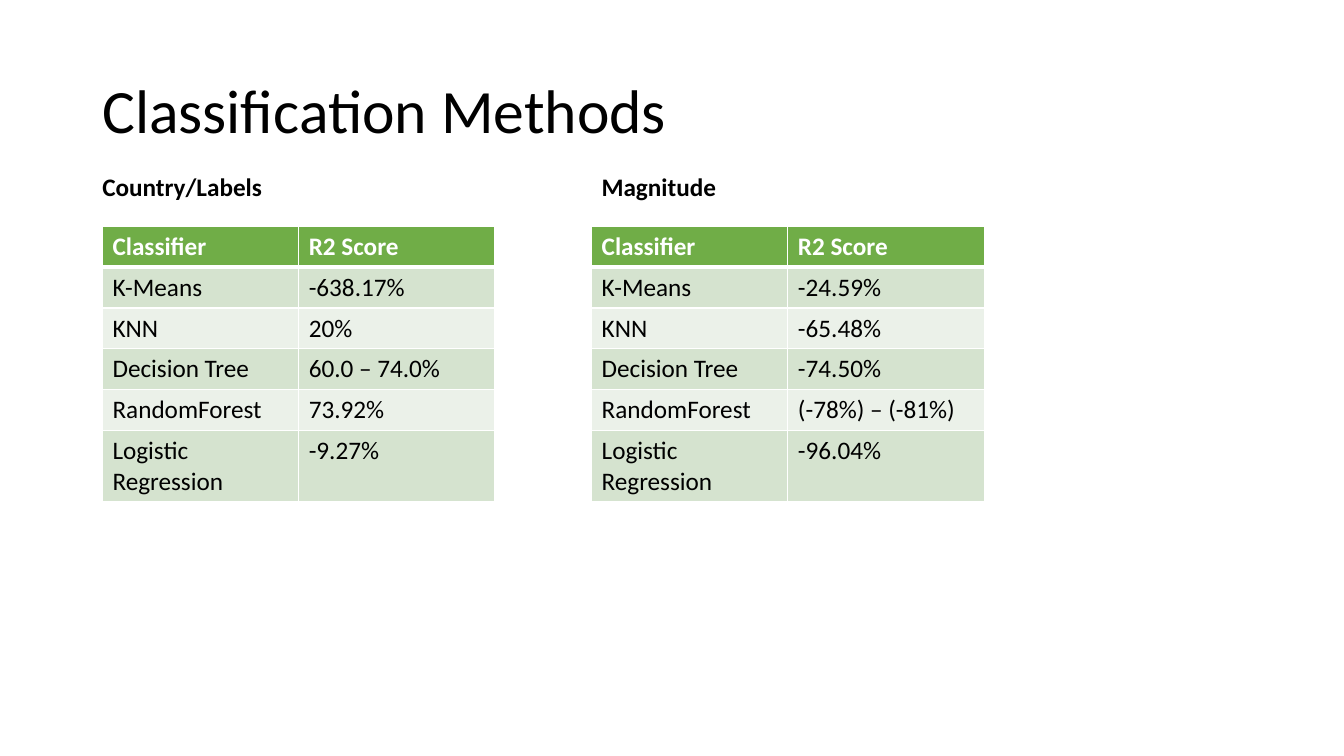
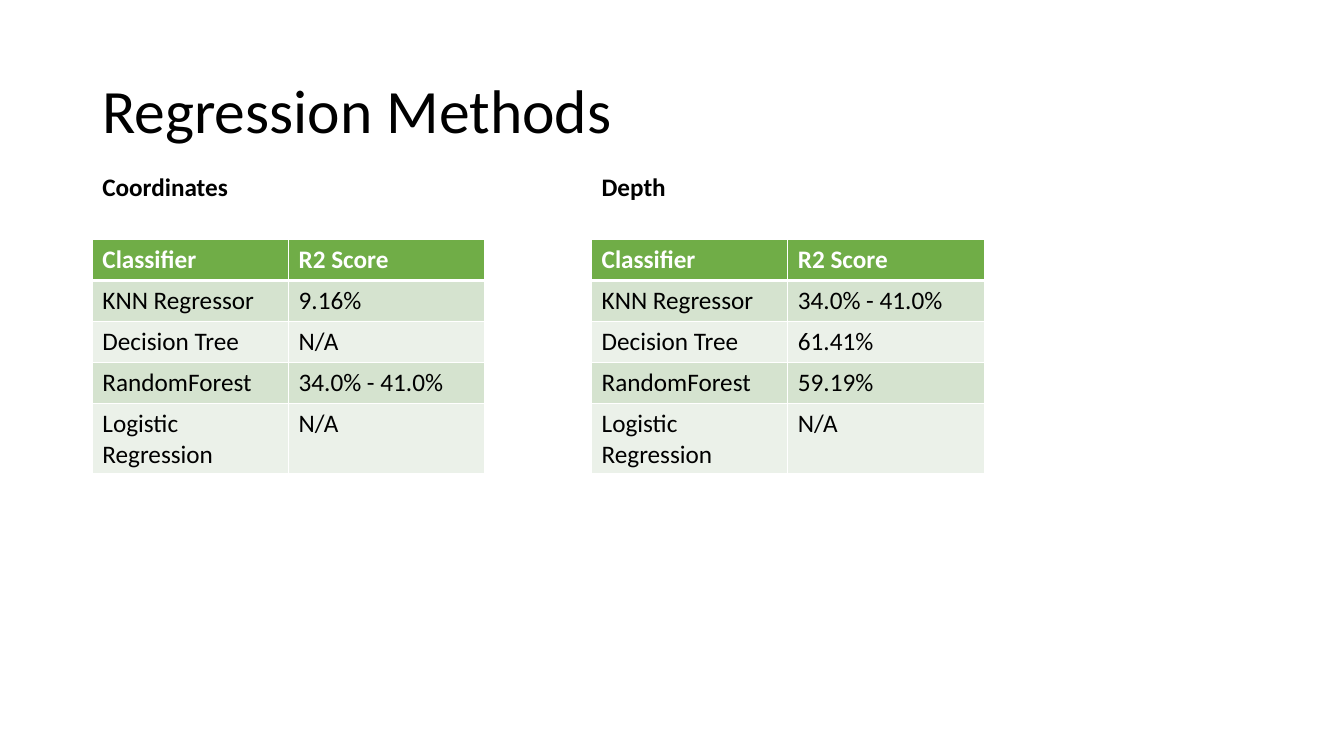
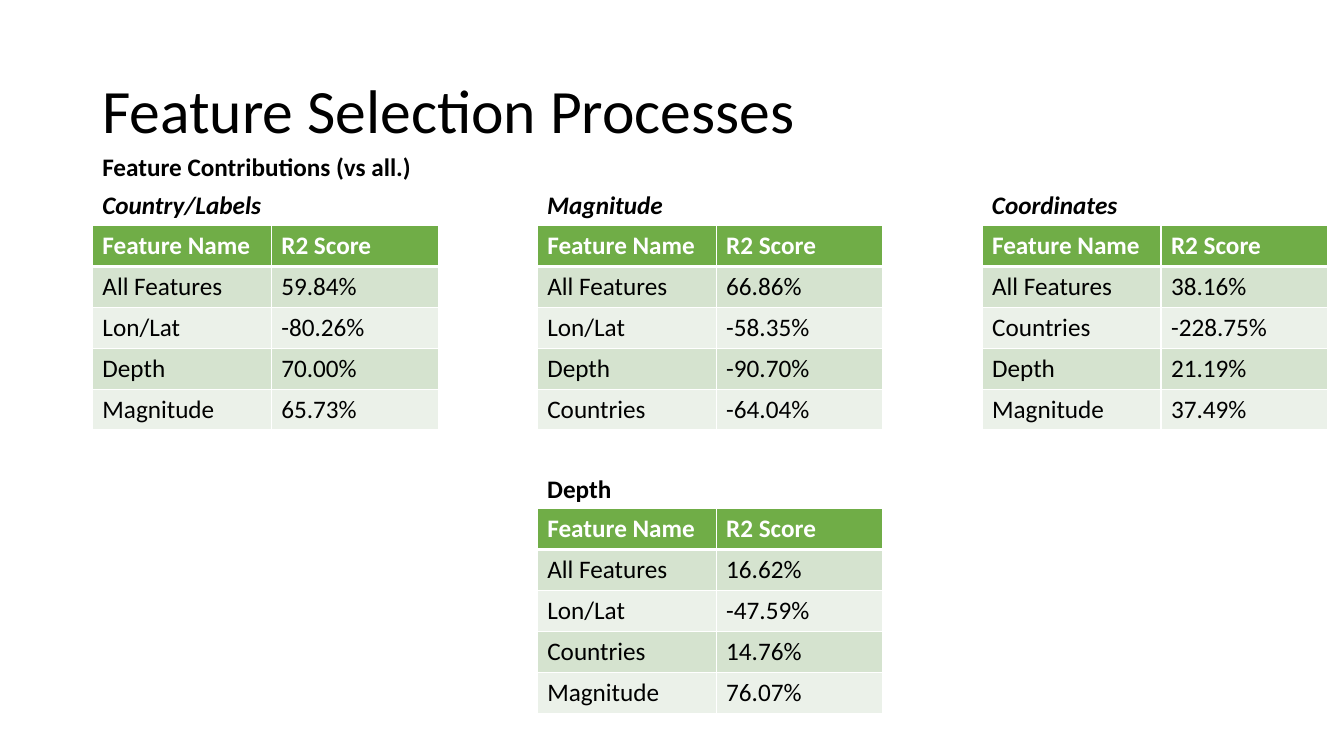
import dataclasses

import pptx
import pptx.dml.color
import pptx.enum.text
import pptx.oxml
import pptx.oxml.ns
import pptx.util

Pt = pptx.util.Pt


@dataclasses.dataclass(frozen=True)
class Theme:
    font: str = "Calibri"
    ink: str = "000000"
    paper: str = "FFFFFF"
    header: str = "70AD47"
    bands: tuple = ("D5E3CF", "EBF1E9")
    title_size: float = 44
    body_size: float = 18
    rule: float = 1
    header_rule: float = 3


THEME = Theme()
SLIDE_SIZE = (960, 540)
TITLE_BOX = (66, 28.75, 828, 104.4)
LEFT = 66
ROW_HEIGHT = 29.2
CAPTION_WIDTH = 134
METHOD_COLUMNS = (140.2, 140.2)
FEATURE_COLUMNS = (127.8, 119.2)
METHOD_STEP = 356.6
FEATURE_STEP = 317.75
METHOD_CAPTION_TOP = 119
FEATURE_CAPTION_TOP = 132

METHOD_HEADER = ("Classifier", "R2 Score")
FEATURE_HEADER = ("Feature Name", "R2 Score")

METHOD_SLIDES = [
    {
        "title": "Classification Methods",
        "table_top": 161.6,
        "first_table_indent": 7.2,
        "tables": [
            ("Country/Labels", [
                ("K-Means", "-638.17%"),
                ("KNN", "20%"),
                ("Decision Tree", "60.0 – 74.0%"),
                ("RandomForest", "73.92%"),
                ("Logistic Regression", "-9.27%"),
            ]),
            ("Magnitude", [
                ("K-Means", "-24.59%"),
                ("KNN", "-65.48%"),
                ("Decision Tree", "-74.50%"),
                ("RandomForest", "(-78%) – (-81%)"),
                ("Logistic Regression", "-96.04%"),
            ]),
        ],
    },
    {
        "title": "Regression Methods",
        "table_top": 171.2,
        "first_table_indent": 0,
        "tables": [
            ("Coordinates", [
                ("KNN Regressor", "9.16%"),
                ("Decision Tree", "N/A"),
                ("RandomForest", "34.0% - 41.0%"),
                ("Logistic Regression", "N/A"),
            ]),
            ("Depth", [
                ("KNN Regressor", "34.0% - 41.0%"),
                ("Decision Tree", "61.41%"),
                ("RandomForest", "59.19%"),
                ("Logistic Regression", "N/A"),
            ]),
        ],
    },
]

FEATURE_TITLE = "Feature Selection Processes"
FEATURE_SUBTITLE = ("Feature Contributions (vs all.)", 104.2, 297.4)
FEATURE_TABLES = [
    ("Country/Labels", 0, 0, True, [
        ("All Features", "59.84%"),
        ("Lon/Lat", "-80.26%"),
        ("Depth", "70.00%"),
        ("Magnitude", "65.73%"),
    ]),
    ("Magnitude", 1, 0, True, [
        ("All Features", "66.86%"),
        ("Lon/Lat", "-58.35%"),
        ("Depth", "-90.70%"),
        ("Countries", "-64.04%"),
    ]),
    ("Coordinates", 2, 0, True, [
        ("All Features", "38.16%"),
        ("Countries", "-228.75%"),
        ("Depth", "21.19%"),
        ("Magnitude", "37.49%"),
    ]),
    ("Depth", 1, 202.2, False, [
        ("All Features", "16.62%"),
        ("Lon/Lat", "-47.59%"),
        ("Countries", "14.76%"),
        ("Magnitude", "76.07%"),
    ]),
]


def rgb(value):
    return pptx.dml.color.RGBColor.from_string(value)


def style_text(paragraph, size, color, bold=False, italic=False):
    for run in paragraph.runs:
        run.font.name = THEME.font
        run.font.size = Pt(size)
        run.font.color.rgb = rgb(color)
        run.font.bold = bold
        run.font.italic = italic


def add_text(slide, text, box, size, **emphasis):
    frame = slide.shapes.add_textbox(*map(Pt, box)).text_frame
    frame.word_wrap = True
    frame.text = text
    style_text(frame.paragraphs[0], size, THEME.ink, **emphasis)
    return frame


def add_caption(slide, text, left, top, width=CAPTION_WIDTH, italic=False):
    add_text(slide, text, (left, top, width, ROW_HEIGHT), THEME.body_size,
             bold=True, italic=italic)


def add_titled_slide(deck, title):
    slide = deck.slides.add_slide(deck.slide_layouts[6])
    frame = add_text(slide, title, TITLE_BOX, THEME.title_size)
    frame.vertical_anchor = pptx.enum.text.MSO_ANCHOR.MIDDLE
    frame.paragraphs[0].line_spacing = 0.9
    return slide


def set_borders(cell, widths):
    properties = cell._tc.get_or_add_tcPr()
    for side, width in widths.items():
        properties.append(pptx.oxml.parse_xml(
            f'<a:ln{side} {pptx.oxml.ns.nsdecls("a")} w="{Pt(width)}">'
            f'<a:solidFill><a:srgbClr val="{THEME.paper}"/></a:solidFill>'
            f'</a:ln{side}>'))


def add_score_table(slide, header, scores, left, top, columns):
    rows = [header, *scores]
    box = (left, top, sum(columns), ROW_HEIGHT * len(rows))
    table = slide.shapes.add_table(len(rows), len(columns), *map(Pt, box)).table
    table.horz_banding = False
    for column, width in zip(table.columns, columns):
        column.width = Pt(width)
    for index, values in enumerate(rows):
        table.rows[index].height = Pt(ROW_HEIGHT)
        is_header = index == 0
        fill = THEME.header if is_header else THEME.bands[(index - 1) % 2]
        borders = {
            "L": THEME.rule,
            "R": THEME.rule,
            "T": THEME.header_rule if index == 1 else THEME.rule,
            "B": THEME.header_rule if is_header else THEME.rule,
        }
        for cell, value in zip(table.rows[index].cells, values):
            set_borders(cell, borders)
            cell.fill.solid()
            cell.fill.fore_color.rgb = rgb(fill)
            cell.text_frame.text = value
            style_text(cell.text_frame.paragraphs[0], THEME.body_size,
                       THEME.paper if is_header else THEME.ink, bold=is_header)


def build_method_slide(deck, content):
    slide = add_titled_slide(deck, content["title"])
    for position, (caption, scores) in enumerate(content["tables"]):
        left = LEFT + position * METHOD_STEP
        indent = content["first_table_indent"] if position == 0 else 0
        add_caption(slide, caption, left, METHOD_CAPTION_TOP)
        add_score_table(slide, METHOD_HEADER, scores, left + indent,
                        content["table_top"], METHOD_COLUMNS)


def build_feature_slide(deck):
    slide = add_titled_slide(deck, FEATURE_TITLE)
    subtitle, subtitle_top, subtitle_width = FEATURE_SUBTITLE
    add_caption(slide, subtitle, LEFT, subtitle_top, subtitle_width)
    for caption, column, drop, italic, scores in FEATURE_TABLES:
        left = LEFT + column * FEATURE_STEP
        top = FEATURE_CAPTION_TOP + drop
        add_caption(slide, caption, left, top, italic=italic)
        add_score_table(slide, FEATURE_HEADER, scores, left,
                        top + ROW_HEIGHT, FEATURE_COLUMNS)


def main():
    deck = pptx.Presentation()
    deck.slide_width, deck.slide_height = map(Pt, SLIDE_SIZE)
    for content in METHOD_SLIDES:
        build_method_slide(deck, content)
    build_feature_slide(deck)
    deck.save("out.pptx")


if __name__ == "__main__":
    main()
